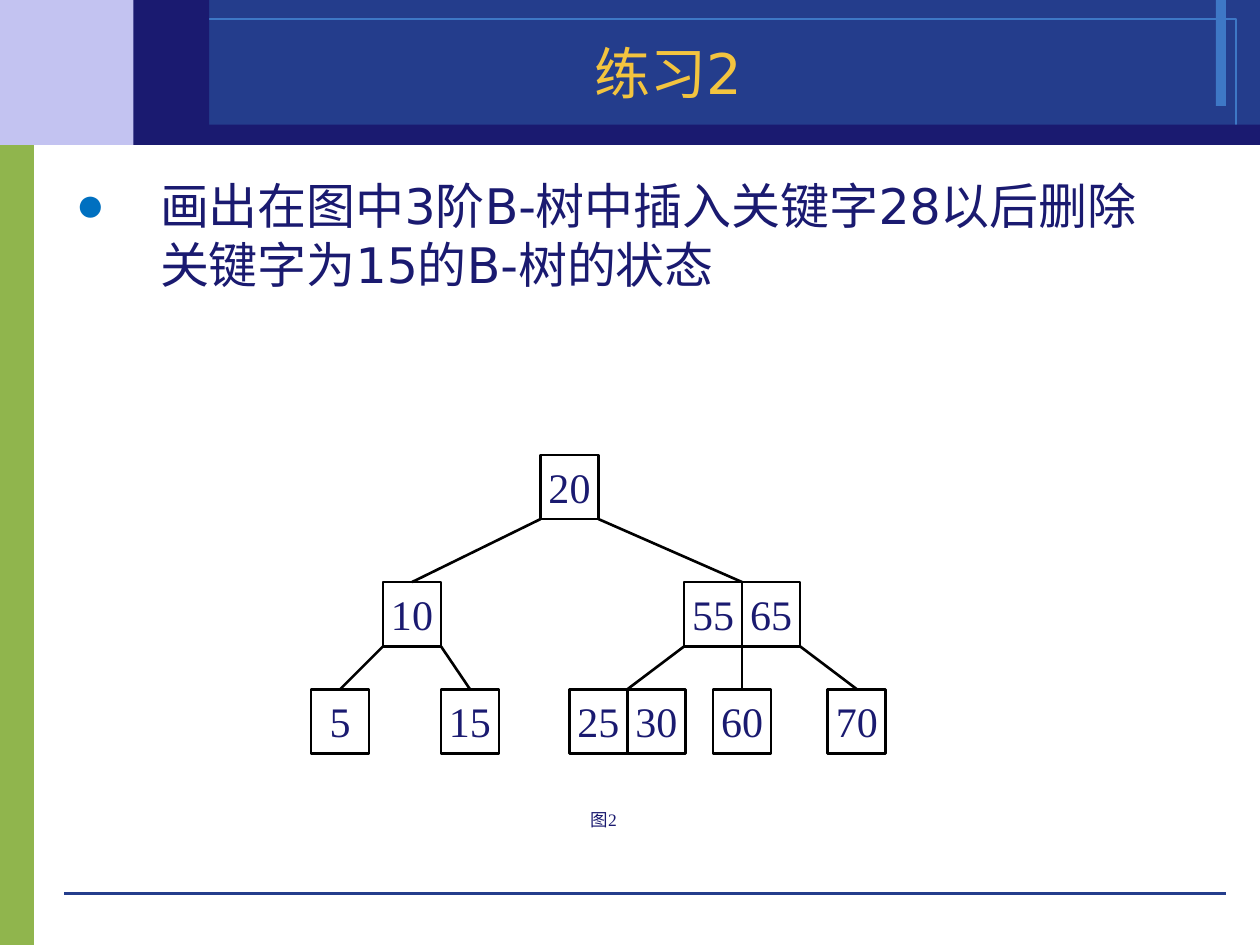
import pptx
import pptx.util
import pptx.dml.color
import pptx.enum.shapes
import pptx.enum.text
import pptx.oxml.ns
from lxml import etree

Inches = pptx.util.Inches
Pt = pptx.util.Pt
RGBColor = pptx.dml.color.RGBColor
SHAPE = pptx.enum.shapes.MSO_SHAPE
STRAIGHT = pptx.enum.shapes.MSO_CONNECTOR.STRAIGHT
ALIGN = pptx.enum.text.PP_ALIGN
ANCHOR = pptx.enum.text.MSO_ANCHOR
qn = pptx.oxml.ns.qn

GREEN = RGBColor(0x90, 0xB5, 0x4D)
LILAC = RGBColor(0xC3, 0xC3, 0xF1)
BLUE = RGBColor(0x24, 0x3D, 0x8C)
SKY = RGBColor(0x3E, 0x78, 0xC6)
NAVY = RGBColor(0x1A, 0x1A, 0x70)
GOLD = RGBColor(0xF3, 0xC4, 0x3F)
BLACK = RGBColor(0, 0, 0)
WHITE = RGBColor(0xFF, 0xFF, 0xFF)
SANS = "DejaVu Sans"
SERIF = "Times New Roman"


def write(tf, text, size=24, font=SERIF, color=NAVY, align=ALIGN.LEFT, anchor=ANCHOR.TOP):
    tf.word_wrap = True
    tf.auto_size = pptx.enum.text.MSO_AUTO_SIZE.NONE
    tf.vertical_anchor = anchor
    p = tf.paragraphs[0]
    p.alignment = align
    p.space_before = Pt(0)
    r = p.add_run()
    r.text = text
    r.font.size = Pt(size)
    r.font.name = font
    r.font.color.rgb = color
    return p


def add_line(shapes, x1, y1, x2, y2, color, width):
    c = shapes.add_connector(STRAIGHT, Inches(x1), Inches(y1), Inches(x2), Inches(y2))
    c.line.color.rgb = color
    c.line.width = Pt(width)
    etree.SubElement(c._element.spPr, qn("a:effectLst"))
    return c


prs = pptx.Presentation()
prs.slide_width = Inches(10)
prs.slide_height = Inches(7.5)
s = prs.slides.add_slide(prs.slide_layouts[1])

bands = [
    (0, 1.07, 0.27, 6.43, GREEN, None),
    (0, 0, 1.53, 1.15, LILAC, None),
    (1.53, 0, 8.47, 1.15, BLUE, None),
    (9.65, 0, 0.08, 0.84, SKY, None),
    (1.19, 0.15, 8.62, 0.85, None, SKY),
    (1.3, 0.99, 8.7, 0.16, NAVY, None),
    (1.06, 0, 0.6, 1.15, NAVY, None),
]
for x, y, w, h, fill, line in bands:
    sp = s.shapes.add_shape(SHAPE.RECTANGLE, Inches(x), Inches(y), Inches(w), Inches(h))
    sp.shadow.inherit = False
    if fill is None:
        sp.fill.background()
        sp.line.color.rgb = line
        sp.line.width = Pt(0)
    else:
        sp.fill.solid()
        sp.fill.fore_color.rgb = fill
        sp.line.fill.background()
add_line(s.shapes, 0.51, 7.09, 9.73, 7.09, BLUE, 0)

title = s.shapes.title
body = s.placeholders[1]
for ph, x, y, w, h in [(title, 1.19, 0.26, 8.23, 0.62), (body, 0.5, 1.34, 9, 5.74)]:
    ph.left, ph.top, ph.width, ph.height = Inches(x), Inches(y), Inches(w), Inches(h)
    s.shapes._spTree.append(ph._element)

write(title.text_frame, "练习2", size=32, font=SANS, color=GOLD,
      align=ALIGN.CENTER, anchor=ANCHOR.MIDDLE)
p = write(body.text_frame, "画出在图中3阶B-树中插入关键字28以后删除关键字为15的B-树的状态",
          size=28, font=SANS)
pPr = p._p.get_or_add_pPr()
pPr.set("marL", str(Inches(0.67)))
pPr.set("indent", str(-Inches(0.67)))
buClr = etree.SubElement(pPr, qn("a:buClr"))
etree.SubElement(buClr, qn("a:srgbClr")).set("val", "0070C0")
etree.SubElement(pPr, qn("a:buChar")).set("char", "●")

CELL_W, CELL_H = 0.46, 0.51
ROOT_Y, MID_Y, LEAF_Y = 3.61, 4.62, 5.47
keys = {
    "20": (4.29, ROOT_Y),
    "10": (3.04, MID_Y),
    "55": (5.43, MID_Y),
    "65": (5.89, MID_Y),
    "5": (2.47, LEAF_Y),
    "15": (3.5, LEAF_Y),
    "25": (4.52, LEAF_Y),
    "30": (4.98, LEAF_Y),
    "60": (5.66, LEAF_Y),
    "70": (6.57, LEAF_Y),
}
tree = s.shapes.add_group_shape().shapes
cells = {}
for key, (x, y) in keys.items():
    sp = tree.add_shape(SHAPE.RECTANGLE, Inches(x), Inches(y), Inches(CELL_W), Inches(CELL_H))
    sp.shadow.inherit = False
    sp.fill.solid()
    sp.fill.fore_color.rgb = WHITE
    sp.line.color.rgb = BLACK
    sp.line.width = Pt(1.5)
    tf = sp.text_frame
    tf.margin_left = tf.margin_right = 0
    write(tf, key, align=ALIGN.CENTER)
    cells[key] = sp

LEFT, RIGHT, MIDDLE = 0, CELL_W, CELL_W / 2
edges = [
    ("20", LEFT, "10", MIDDLE),
    ("20", RIGHT, "65", LEFT),
    ("10", LEFT, "5", MIDDLE),
    ("10", RIGHT, "15", MIDDLE),
    ("55", LEFT, "30", LEFT),
    ("65", LEFT, "60", MIDDLE),
    ("65", RIGHT, "70", MIDDLE),
]
for parent, dx1, child, dx2 in edges:
    x1, y1 = keys[parent]
    x2, y2 = keys[child]
    c = add_line(tree, x1 + dx1, y1 + CELL_H, x2 + dx2, y2, BLACK, 1.5)
    if dx2 == MIDDLE:
        c.end_connect(cells[child], 0)

sp = tree.add_textbox(Inches(4.59), Inches(6.37), Inches(0.78), Inches(CELL_H))
sp.fill.solid()
sp.fill.fore_color.rgb = WHITE
write(sp.text_frame, "图2", size=10)

prs.save("out.pptx")
